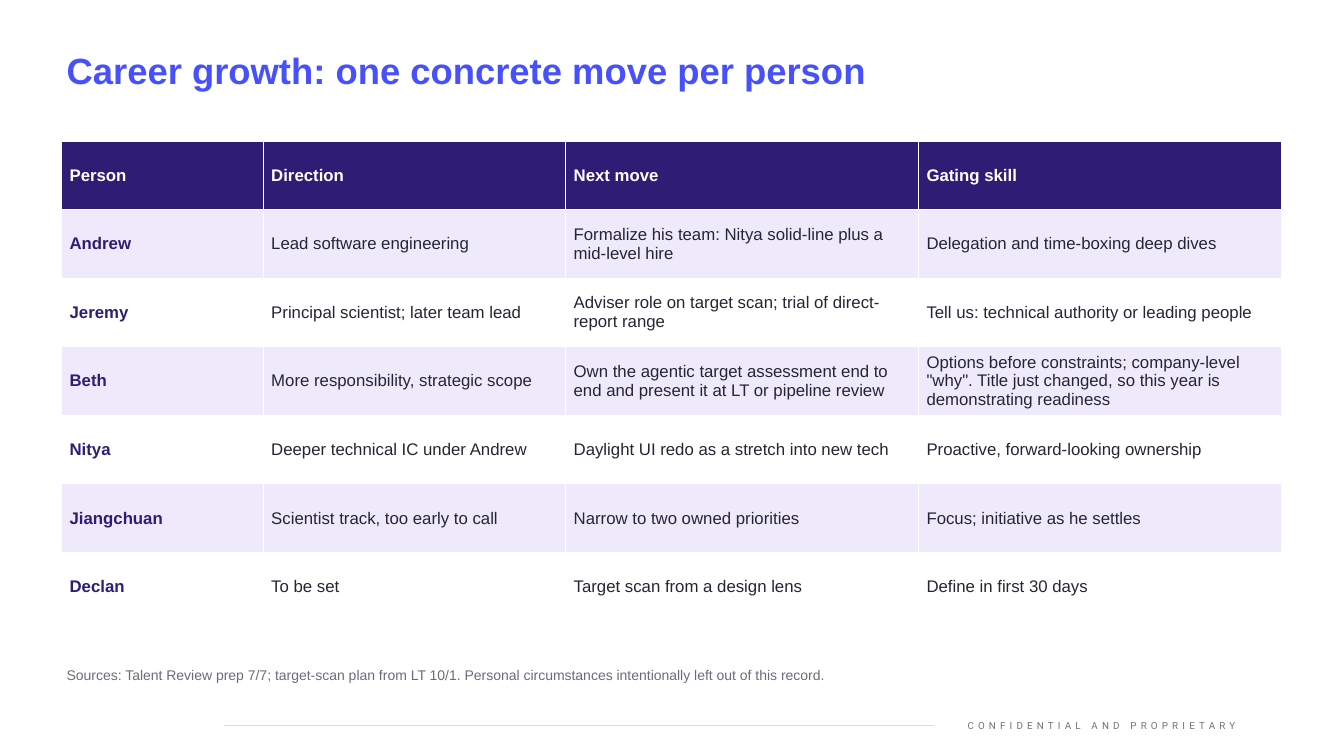
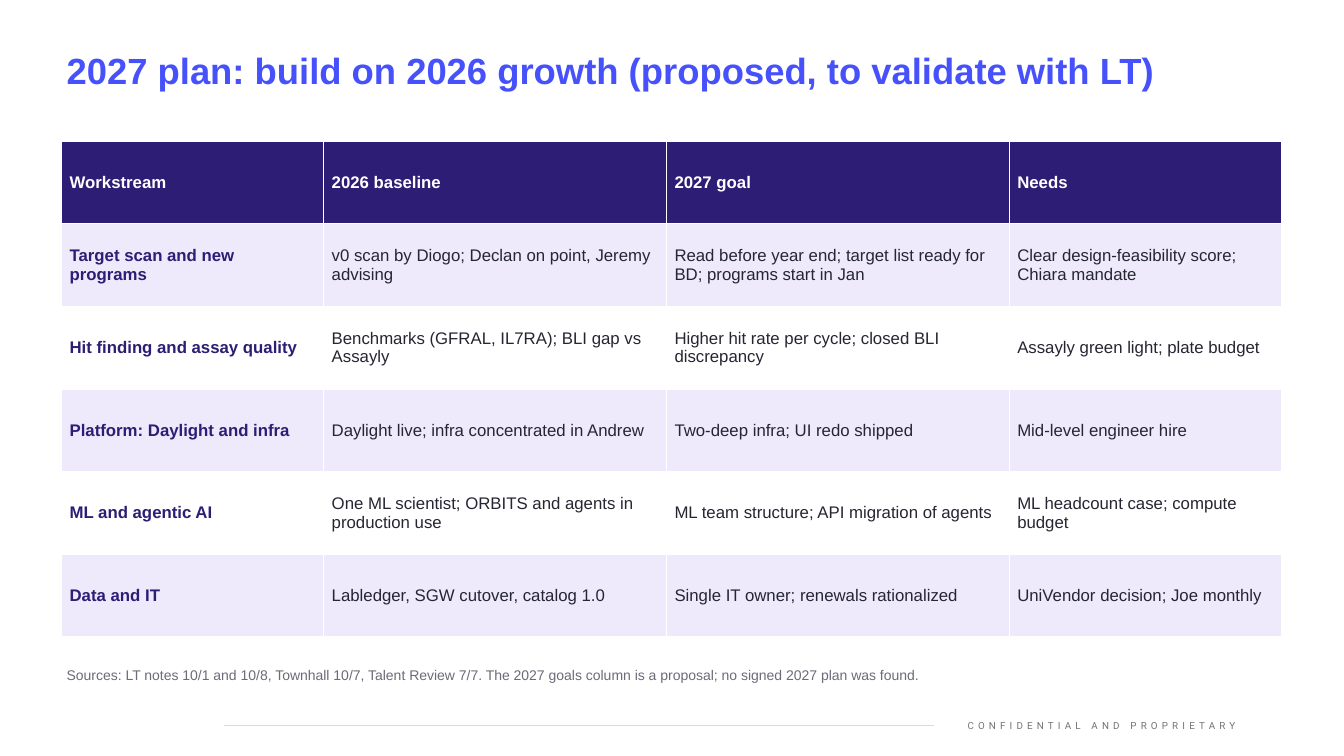
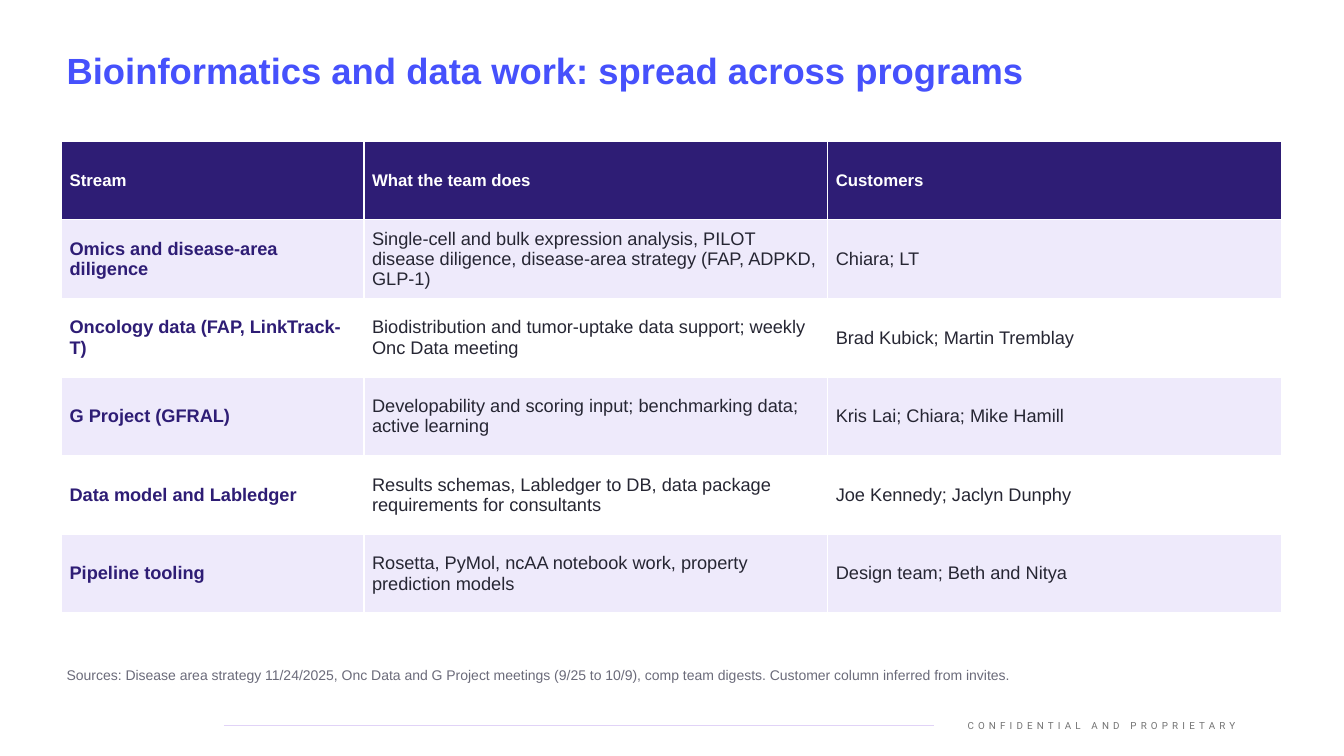
from dataclasses import dataclass

import lxml.etree
import pptx
import pptx.dml.color
import pptx.enum.shapes
import pptx.enum.text
import pptx.oxml.ns
import pptx.util

HUES = {
    "title": "4651FC",
    "head": "2E1D75",
    "band": "EEEAFB",
    "plain": "FFFFFF",
    "ink": "262633",
    "source": "6B6B7A",
    "foot": "737373",
    "rule": "E1D3F7",
}
WIDE, HIGH = 13.33, 7.5
LEFT = 4.58


@dataclass(frozen=True)
class Box:
    left: float
    top: float
    width: float
    height: float


@dataclass(frozen=True)
class Page:
    title: str
    cols: tuple[float, ...]
    step: float
    size: int
    rows: tuple[tuple[str, ...], ...]
    source: str


TITLE = Box(LEFT, 6, 86.65, 7.33)
GRID = Box(LEFT, 18.67, 90.77, 0)
SOURCE = Box(LEFT, 87.73, 86.27, 4)
FOOT = Box(70.29, 94.53, 22.36, 2.93)
RULE = Box(16.65, 96, 52.82, 0)

PAGES = (
    Page(
        "Career growth: one concrete move per person",
        (2, 3, 3.5, 3.6), 9.07, 12,
        (
            ("Person", "Direction", "Next move", "Gating skill"),
            ("Andrew", "Lead software engineering",
             "Formalize his team: Nitya solid-line plus a mid-level hire",
             "Delegation and time-boxing deep dives"),
            ("Jeremy", "Principal scientist; later team lead",
             "Adviser role on target scan; trial of direct-report range",
             "Tell us: technical authority or leading people"),
            ("Beth", "More responsibility, strategic scope",
             "Own the agentic target assessment end to end and present it at LT or pipeline review",
             "Options before constraints; company-level \"why\". Title just changed, "
             "so this year is demonstrating readiness"),
            ("Nitya", "Deeper technical IC under Andrew",
             "Daylight UI redo as a stretch into new tech",
             "Proactive, forward-looking ownership"),
            ("Jiangchuan", "Scientist track, too early to call",
             "Narrow to two owned priorities", "Focus; initiative as he settles"),
            ("Declan", "To be set", "Target scan from a design lens",
             "Define in first 30 days"),
        ),
        "Sources: Talent Review prep 7/7; target-scan plan from LT 10/1. "
        "Personal circumstances intentionally left out of this record.",
    ),
    Page(
        "2027 plan: build on 2026 growth (proposed, to validate with LT)",
        (2.6, 3.4, 3.4, 2.7), 10.93, 12,
        (
            ("Workstream", "2026 baseline", "2027 goal", "Needs"),
            ("Target scan and new programs",
             "v0 scan by Diogo; Declan on point, Jeremy advising",
             "Read before year end; target list ready for BD; programs start in Jan",
             "Clear design-feasibility score; Chiara mandate"),
            ("Hit finding and assay quality",
             "Benchmarks (GFRAL, IL7RA); BLI gap vs Assayly",
             "Higher hit rate per cycle; closed BLI discrepancy",
             "Assayly green light; plate budget"),
            ("Platform: Daylight and infra",
             "Daylight live; infra concentrated in Andrew",
             "Two-deep infra; UI redo shipped", "Mid-level engineer hire"),
            ("ML and agentic AI",
             "One ML scientist; ORBITS and agents in production use",
             "ML team structure; API migration of agents",
             "ML headcount case; compute budget"),
            ("Data and IT", "Labledger, SGW cutover, catalog 1.0",
             "Single IT owner; renewals rationalized",
             "UniVendor decision; Joe monthly"),
        ),
        "Sources: LT notes 10/1 and 10/8, Townhall 10/7, Talent Review 7/7. "
        "The 2027 goals column is a proposal; no signed 2027 plan was found.",
    ),
    Page(
        "Bioinformatics and data work: spread across programs",
        (3, 4.6, 4.5), 10.4, 13,
        (
            ("Stream", "What the team does", "Customers"),
            ("Omics and disease-area diligence",
             "Single-cell and bulk expression analysis, PILOT disease diligence, "
             "disease-area strategy (FAP, ADPKD, GLP-1)", "Chiara; LT"),
            ("Oncology data (FAP, LinkTrack-T)",
             "Biodistribution and tumor-uptake data support; weekly Onc Data meeting",
             "Brad Kubick; Martin Tremblay"),
            ("G Project (GFRAL)",
             "Developability and scoring input; benchmarking data; active learning",
             "Kris Lai; Chiara; Mike Hamill"),
            ("Data model and Labledger",
             "Results schemas, Labledger to DB, data package requirements for consultants",
             "Joe Kennedy; Jaclyn Dunphy"),
            ("Pipeline tooling",
             "Rosetta, PyMol, ncAA notebook work, property prediction models",
             "Design team; Beth and Nitya"),
        ),
        "Sources: Disease area strategy 11/24/2025, Onc Data and G Project meetings "
        "(9/25 to 10/9), comp team digests. Customer column inferred from invites.",
    ),
)


def across(share: float) -> int:
    return pptx.util.Inches(WIDE * share / 100)


def down(share: float) -> int:
    return pptx.util.Inches(HIGH * share / 100)


def place(box: Box) -> tuple[int, int, int, int]:
    return across(box.left), down(box.top), across(box.width), down(box.height)


def tint(name: str) -> pptx.dml.color.RGBColor:
    return pptx.dml.color.RGBColor.from_string(HUES[name])


def write(frame, text: str, size: float, hue: str, bold: bool = False, face: str = "Arial"):
    frame.text = text
    line = frame.paragraphs[0]
    font = line.runs[0].font
    font.name, font.size, font.bold = face, pptx.util.Pt(size), bold
    font.color.rgb = tint(hue)
    return line


def inset(item, left: float, top: float, right: float, low: float) -> None:
    item.margin_left, item.margin_top = pptx.util.Inches(left), pptx.util.Inches(top)
    item.margin_right, item.margin_bottom = pptx.util.Inches(right), pptx.util.Inches(low)


def add_text(slide, box: Box):
    frame = slide.shapes.add_textbox(*place(box)).text_frame
    frame.word_wrap = True
    return frame


def add_foot(slide) -> None:
    frame = add_text(slide, FOOT)
    frame.vertical_anchor = pptx.enum.text.MSO_ANCHOR.MIDDLE
    line = write(frame, "CONFIDENTIAL AND PROPRIETARY", 7, "foot", face="Roboto")
    line.alignment = pptx.enum.text.PP_ALIGN.RIGHT
    line.runs[0]._r.get_or_add_rPr().set("spc", "300")
    left, top, width, height = place(RULE)
    rule = slide.shapes.add_connector(
        pptx.enum.shapes.MSO_CONNECTOR.STRAIGHT, left, top, left + width, top + height)
    rule.line.color.rgb = tint("rule")
    rule.line.width = pptx.util.Pt(0.5)
    lxml.etree.SubElement(rule._element.spPr, pptx.oxml.ns.qn("a:effectLst"))


def add_title(slide, text: str) -> None:
    title = slide.shapes.title
    title.left, title.top, title.width, title.height = place(TITLE)
    frame = title.text_frame
    frame.word_wrap = True
    frame.auto_size = pptx.enum.text.MSO_AUTO_SIZE.NONE
    frame.vertical_anchor = pptx.enum.text.MSO_ANCHOR.MIDDLE
    inset(frame, 0.05, 0.05, 0, 0.05)
    line = write(frame, text, 26, "title", True)
    line.alignment = pptx.enum.text.PP_ALIGN.LEFT
    line.line_spacing = 0.9


def edge(cell) -> None:
    props = cell._tc.get_or_add_tcPr()
    for spot, side in enumerate(("lnL", "lnR", "lnT", "lnB")):
        line = lxml.etree.Element(pptx.oxml.ns.qn(f"a:{side}"), w=str(pptx.util.Pt(1)))
        fill = lxml.etree.SubElement(line, pptx.oxml.ns.qn("a:solidFill"))
        lxml.etree.SubElement(fill, pptx.oxml.ns.qn("a:srgbClr"), val=HUES["plain"])
        props.insert(spot, line)


def add_grid(slide, page: Page) -> None:
    left, top, width, _ = place(GRID)
    count = len(page.rows)
    table = slide.shapes.add_table(
        count, len(page.cols), left, top, width, down(page.step * count)).table
    for col, share in zip(table.columns, page.cols):
        col.width = int(width * share / sum(page.cols))
    for i, row in enumerate(page.rows):
        table.rows[i].height = down(page.step)
        fill = "head" if i == 0 else "band" if i % 2 else "plain"
        for j, text in enumerate(row):
            cell = table.cell(i, j)
            cell.fill.solid()
            cell.fill.fore_color.rgb = tint(fill)
            cell.vertical_anchor = pptx.enum.text.MSO_ANCHOR.MIDDLE
            inset(cell, 0.08, 0.04, 0.08, 0.04)
            hue = "plain" if i == 0 else "head" if j == 0 else "ink"
            write(cell.text_frame, text, page.size if i else 12, hue, i == 0 or j == 0)
            edge(cell)


def add_source(slide, text: str) -> None:
    frame = add_text(slide, SOURCE)
    frame.auto_size = pptx.enum.text.MSO_AUTO_SIZE.SHAPE_TO_FIT_TEXT
    inset(frame, 0.05, 0.03, 0.05, 0.03)
    write(frame, text, 10, "source").space_after = pptx.util.Pt(4)


def main() -> None:
    deck = pptx.Presentation()
    deck.slide_width = pptx.util.Inches(WIDE)
    deck.slide_height = pptx.util.Inches(HIGH)
    for page in PAGES:
        slide = deck.slides.add_slide(deck.slide_layouts[5])
        add_foot(slide)
        add_title(slide, page.title)
        add_grid(slide, page)
        add_source(slide, page.source)
    deck.save("out.pptx")


if __name__ == "__main__":
    main()
